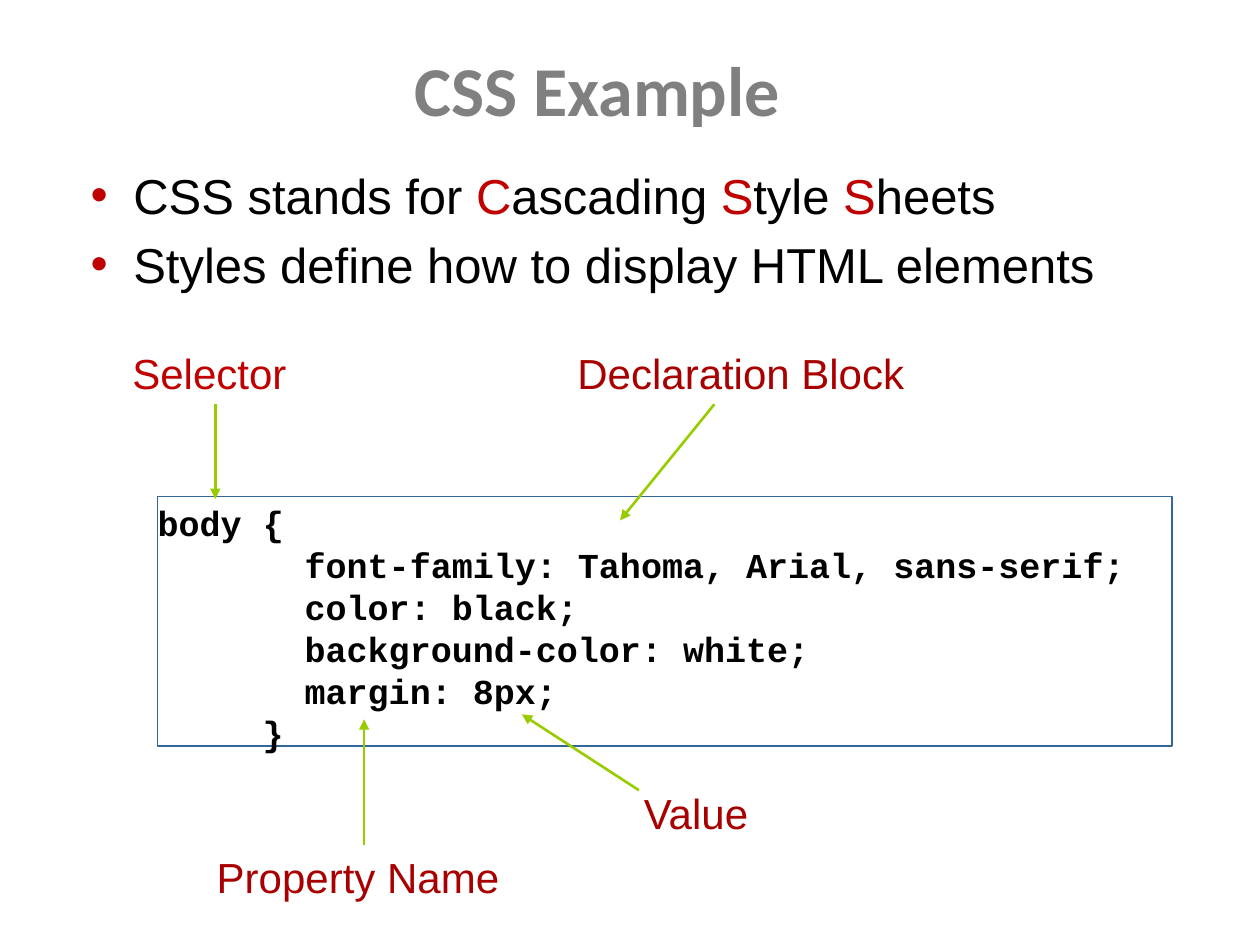
import pptx
import pptx.dml.color
import pptx.enum.shapes
import pptx.enum.text
import pptx.oxml
import pptx.oxml.ns
import pptx.util
from pptx.util import Cm

RED = pptx.dml.color.RGBColor(0xC0, 0x00, 0x00)
DARK_RED = pptx.dml.color.RGBColor(0xA8, 0x00, 0x00)
GREEN = pptx.dml.color.RGBColor(0x99, 0xCC, 0x00)
GREY = pptx.dml.color.RGBColor(0x80, 0x80, 0x80)
BLUE = pptx.dml.color.RGBColor(0x33, 0x66, 0x99)
BLACK = pptx.dml.color.RGBColor(0x00, 0x00, 0x00)

CODE_CHARACTER = pptx.util.Pt(12)
CODE_LINES = [
    (0, "body {"),
    (7, "font-family: Tahoma, Arial, sans-serif;"),
    (7, "color: black;"),
    (7, "background-color: white;"),
    (7, "margin: 8px;"),
    (5, "}"),
]
BULLETS = [
    [("CSS stands for ", BLACK), ("C", RED), ("ascading ", BLACK), ("S", RED),
     ("tyle ", BLACK), ("S", RED), ("heets", BLACK)],
    [("Styles define how to display HTML elements", BLACK)],
]
LABELS = [
    ("Selector", 2.54, 6.88, 3.4, RED),
    ("Declaration Block", 11.51, 6.88, 6.88, DARK_RED),
    ("Property Name", 4.24, 17.04, 5.99, DARK_RED),
    ("Value", 12.85, 15.75, 2.39, DARK_RED),
]
ARROWS = [
    (4.34, 8.15, 4.34, 10.06),
    (14.4, 8.15, 12.5, 10.49),
    (7.34, 17.04, 7.34, 14.5),
    (12.88, 15.93, 10.52, 14.4),
]


def add_span(para, text, size=24, font="Arial", color=BLACK, bold=False):
    span = para.add_run()
    span.text = text
    span.font.size = pptx.util.Pt(size)
    span.font.name = font
    span.font.color.rgb = color
    span.font.bold = bold


def add_box(page, left, top, width, height, inset=0.13, wrap=True):
    box = page.shapes.add_textbox(Cm(left), Cm(top), Cm(width), Cm(height))
    frame = box.text_frame
    frame.word_wrap = wrap
    frame.margin_left = frame.margin_right = Cm(inset)
    frame.margin_top = frame.margin_bottom = Cm(inset)
    return box


def add_paragraphs(frame, count):
    for _ in range(count - 1):
        frame.add_paragraph()
    return frame.paragraphs


def format_title(page, text):
    title = page.shapes.title
    title.left, title.top = Cm(1.24), Cm(0.79)
    title.width, title.height = Cm(21.6), Cm(1.98)
    title.text_frame.vertical_anchor = pptx.enum.text.MSO_ANCHOR.MIDDLE
    para = title.text_frame.paragraphs[0]
    para.alignment = pptx.enum.text.PP_ALIGN.CENTER
    add_span(para, text, size=40, font="Calibri", color=GREY, bold=True)


def add_code(page):
    box = add_box(page, 3.18, 10.01, 20.45, 5.03, inset=0)
    box.line.color.rgb = BLUE
    box.line.width = pptx.util.Pt(0.75)
    box.text_frame.margin_top = Cm(0.1)
    paragraphs = add_paragraphs(box.text_frame, len(CODE_LINES))
    for para, (indent, text) in zip(paragraphs, CODE_LINES):
        para.line_spacing = pptx.util.Pt(24)
        para._p.get_or_add_pPr().set("marL", str(indent * CODE_CHARACTER))
        add_span(para, text, size=20, font="Courier New", bold=True)


def set_bullet(para, color):
    properties = para._p.get_or_add_pPr()
    properties.set("marL", str(Cm(0.86)))
    properties.set("indent", str(-Cm(0.86)))
    namespace = pptx.oxml.ns.nsdecls("a")
    for xml in (
        f'<a:buClr {namespace}><a:srgbClr val="{color}"/></a:buClr>',
        f'<a:buFont {namespace} typeface="Arial"/>',
        f'<a:buChar {namespace} char="•"/>',
    ):
        properties.append(pptx.oxml.parse_xml(xml))


def add_bullets(page):
    box = add_box(page, 1.7, 3.2, 22.2, 2.69)
    paragraphs = add_paragraphs(box.text_frame, len(BULLETS))
    for para, spans in zip(paragraphs, BULLETS):
        para.space_before = pptx.util.Pt(6)
        set_bullet(para, RED)
        for text, color in spans:
            add_span(para, text, size=28, color=color)


def add_label(page, text, left, top, width, color):
    box = add_box(page, left, top, width, 1.22, wrap=False)
    add_span(box.text_frame.paragraphs[0], text, color=color)


def add_arrow(page, *ends):
    arrow = page.shapes.add_connector(
        pptx.enum.shapes.MSO_CONNECTOR.STRAIGHT, *[Cm(end) for end in ends])
    arrow.line.color.rgb = GREEN
    arrow.line.width = pptx.util.Pt(1.5)
    namespace = pptx.oxml.ns.nsdecls("a")
    arrow.line._get_or_add_ln().append(
        pptx.oxml.parse_xml(f'<a:tailEnd {namespace} type="triangle"/>'))
    arrow._element.spPr.append(
        pptx.oxml.parse_xml(f"<a:effectLst {namespace}/>"))


def main():
    deck = pptx.Presentation()
    deck.slide_width, deck.slide_height = Cm(25.4), Cm(19.05)
    page = deck.slides.add_slide(deck.slide_layouts[5])
    format_title(page, "CSS Example")
    add_code(page)
    for label in LABELS:
        add_label(page, *label)
    for arrow in ARROWS:
        add_arrow(page, *arrow)
    add_bullets(page)
    deck.save("out.pptx")


if __name__ == "__main__":
    main()
